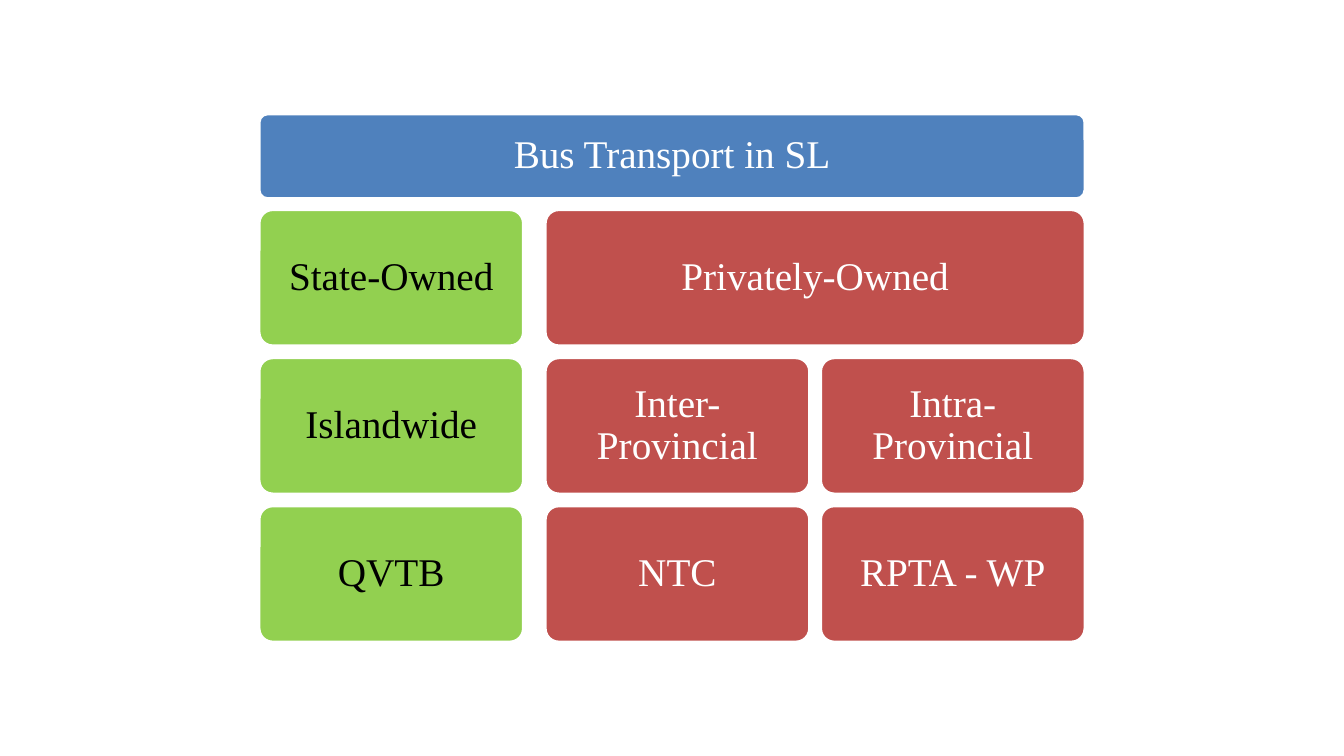
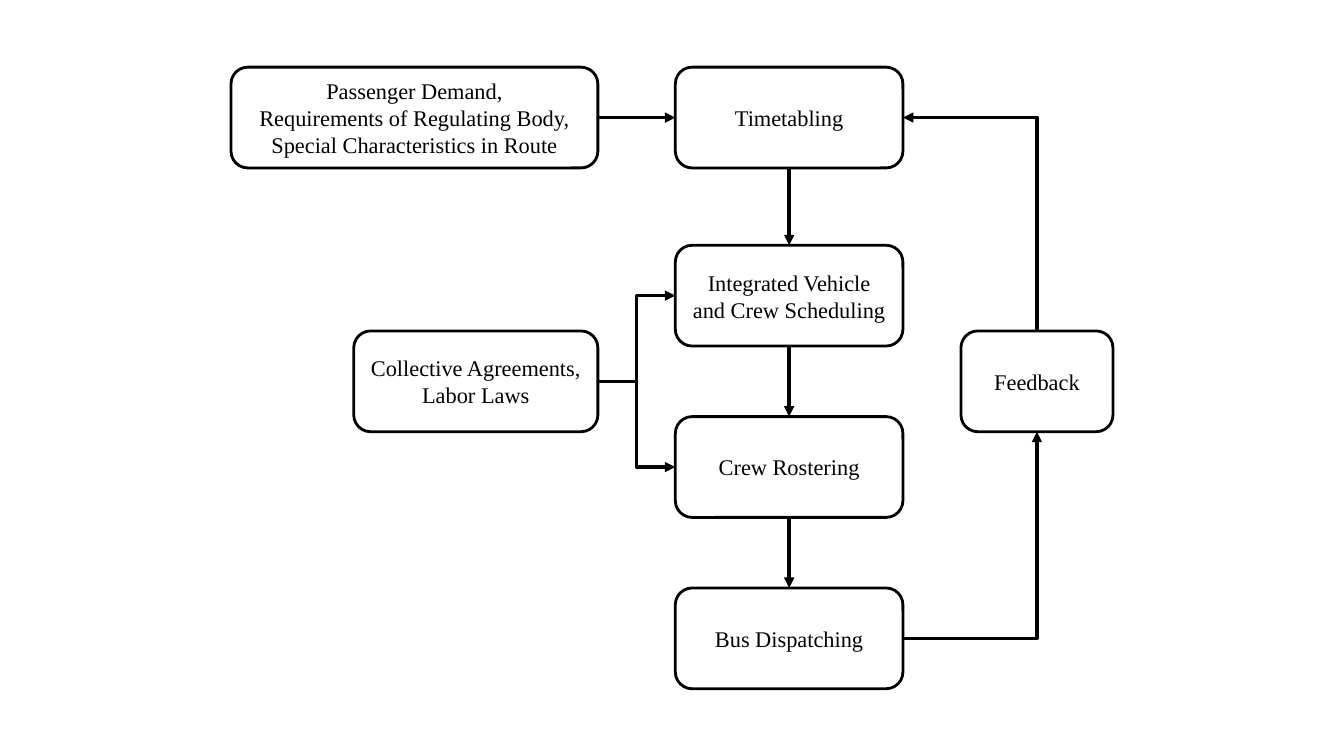
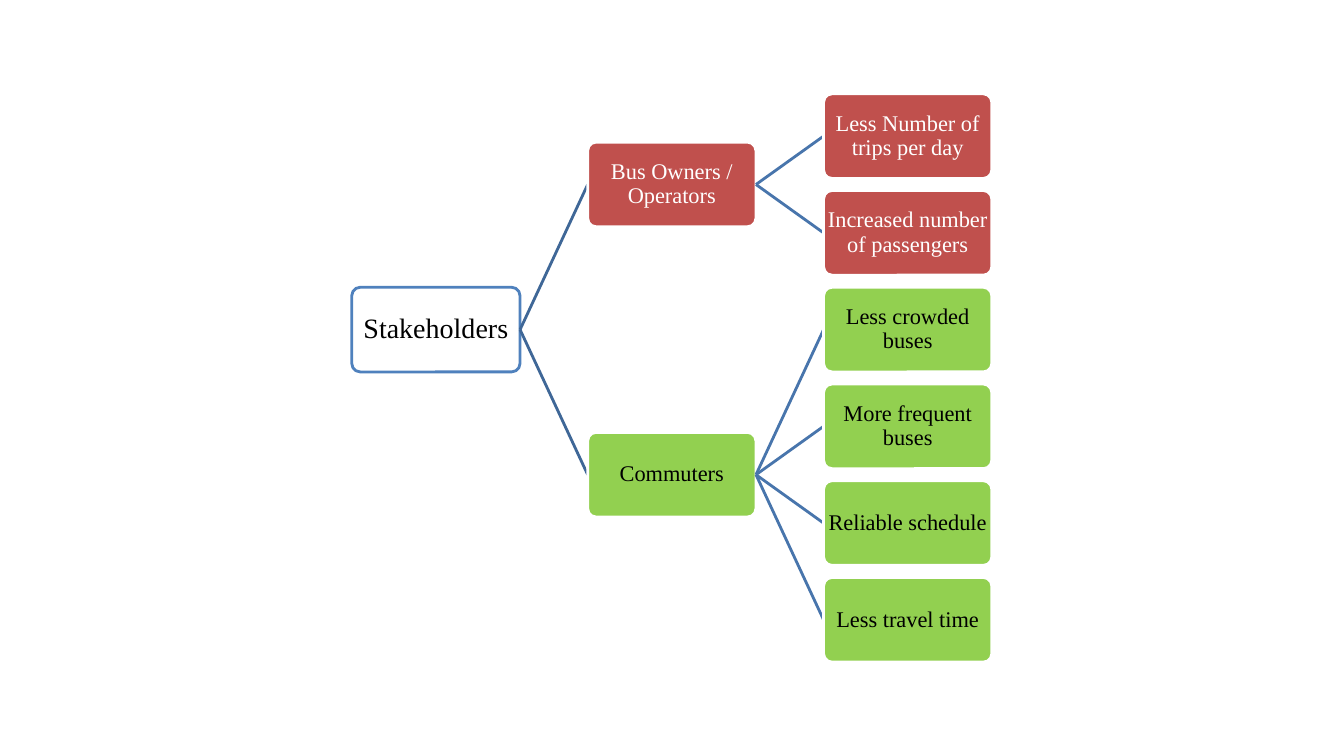
from lxml import etree
from pptx import Presentation
from pptx.dml.color import RGBColor
from pptx.enum.shapes import MSO_CONNECTOR as Connector, MSO_SHAPE as Shape
from pptx.enum.text import MSO_ANCHOR as Anchor, PP_ALIGN as Align
from pptx.oxml.ns import qn
from pptx.util import Pt

# Shared style
FONT = "Times New Roman"
WHITE = RGBColor(0xFF, 0xFF, 0xFF)
BLACK = RGBColor(0x00, 0x00, 0x00)
BLUE = RGBColor(0x4F, 0x81, 0xBD)
GREEN = RGBColor(0x92, 0xD0, 0x50)
RED = RGBColor(0xC0, 0x50, 0x4D)
ROOT_LINK = RGBColor(0x3F, 0x67, 0x97)
LEAF_LINK = RGBColor(0x48, 0x75, 0xAC)
TEXT_COLORS = {BLUE: WHITE, RED: WHITE, GREEN: BLACK, WHITE: BLACK, None: BLACK}


def add_box(slide, text, left, top, width, height, fill, size, insets,
            outline=WHITE, corner=0.1, spacing=0.9):
    box = slide.shapes.add_shape(
        Shape.ROUNDED_RECTANGLE, Pt(left), Pt(top), Pt(width), Pt(height))
    box.adjustments[0] = corner
    box.shadow.inherit = False
    if fill is None:
        box.fill.background()
    else:
        box.fill.solid()
        box.fill.fore_color.rgb = fill
    box.line.color.rgb = outline
    box.line.width = Pt(2)
    frame = box.text_frame
    frame.text = text
    frame.word_wrap = True
    frame.vertical_anchor = Anchor.MIDDLE
    frame.margin_left = frame.margin_right = Pt(insets[0])
    frame.margin_top = frame.margin_bottom = Pt(insets[1])
    for paragraph in frame.paragraphs:
        paragraph.alignment = Align.CENTER
        paragraph.line_spacing = spacing
        paragraph.font.name = FONT
        paragraph.font.size = Pt(size)
        paragraph.font.color.rgb = TEXT_COLORS[fill]
    return box


def add_link(slide, kind, begin, end, color, weight):
    link = slide.shapes.add_connector(
        kind, Pt(begin[0]), Pt(begin[1]), Pt(end[0]), Pt(end[1]))
    link.line.color.rgb = color
    link.line.width = Pt(weight)
    etree.SubElement(link._element.spPr, qn("a:effectLst"))
    return link


presentation = Presentation()
presentation.slide_width = Pt(960)
presentation.slide_height = Pt(540)
blank = presentation.slide_layouts[6]

# Slide 1: bus transport hierarchy
slide = presentation.slides.add_slide(blank)
column_lefts = [185.1, 389.5, 586.2]
cell_width, cell_height = 188.8, 97.2
first_row, row_pitch = 149.8, 105.8
right_edge = column_lefts[2] + cell_width
add_box(slide, "Bus Transport in SL", column_lefts[0], 81.4,
        right_edge - column_lefts[0], 60.5, BLUE, 28, (8.4, 8.4))
ownership_rows = [
    ["State-Owned", "Privately-Owned"],
    ["Islandwide", "Inter-Provincial", "Intra-Provincial"],
    ["QVTB", "NTC", "RPTA - WP"],
]
for row, labels in enumerate(ownership_rows):
    for column, label in enumerate(labels):
        left = column_lefts[column]
        width = right_edge - left if label == "Privately-Owned" else cell_width
        add_box(slide, label, left, first_row + row * row_pitch, width,
                cell_height, RED if column else GREEN, 28, (8.4, 8.4))

# Slide 2: planning flow chart
slide = presentation.slides.add_slide(blank)
steps = {}
for name, text, left, top, width in [
    ("laws", "Collective Agreements,\nLabor Laws", 252.7, 236.4, 174.4),
    ("demand", "Passenger Demand,\nRequirements of Regulating Body,\n"
     "Special Characteristics in Route", 165, 48, 262.1),
    ("timetabling", "Timetabling", 482.4, 48, 162.6),
    ("scheduling", "Integrated Vehicle and Crew Scheduling", 482.4, 175.2, 162.6),
    ("rostering", "Crew Rostering", 482.4, 297.6, 162.6),
    ("dispatching", "Bus Dispatching", 482.4, 420, 162.6),
    ("feedback", "Feedback", 686.4, 236.4, 108.6),
]:
    steps[name] = add_box(slide, text, left, top, width, 72, None, 16, (7.2, 3.6),
                          outline=BLACK, corner=0.16667, spacing=1)

# Arrows between connection sites of the boxes
TOP, LEFT, BOTTOM, RIGHT = range(4)
for begin, begin_site, end, end_site, preset, arrow in [
    ("demand", RIGHT, "timetabling", LEFT, "line", "a:tailEnd"),
    ("timetabling", BOTTOM, "scheduling", TOP, "line", "a:tailEnd"),
    ("scheduling", BOTTOM, "rostering", TOP, "line", "a:tailEnd"),
    ("rostering", BOTTOM, "dispatching", TOP, "line", "a:tailEnd"),
    ("laws", RIGHT, "scheduling", LEFT, "bentConnector3", "a:tailEnd"),
    ("laws", RIGHT, "rostering", LEFT, "bentConnector3", "a:tailEnd"),
    ("dispatching", RIGHT, "feedback", BOTTOM, "bentConnector2", "a:tailEnd"),
    ("timetabling", RIGHT, "feedback", TOP, "bentConnector2", "a:headEnd"),
]:
    kind = Connector.STRAIGHT if preset == "line" else Connector.ELBOW
    link = add_link(slide, kind, (0, 0), (0, 0), BLACK, 2.5)
    link.begin_connect(steps[begin], begin_site)
    link.end_connect(steps[end], end_site)
    properties = link._element.spPr
    properties.find(qn("a:prstGeom")).set("prst", preset)
    etree.SubElement(properties.find(qn("a:ln")), qn(arrow), type="triangle")

# Slide 3: stakeholder tree
slide = presentation.slides.add_slide(blank)
level_lefts = [251.3, 419.8, 588.3]
node_width, node_height = 120.2, 60.5
first_leaf, leaf_pitch = 67, 69.1
branches = [
    ("Bus Owners / Operators", RED,
     ["Less Number of trips per day", "Increased number of passengers"]),
    ("Commuters", GREEN,
     ["Less crowded buses", "More frequent buses", "Reliable schedule",
      "Less travel time"]),
]

# Every parent is centred on its children
leaf_tops, branch_tops = [], []
for _, _, leaves in branches:
    start = first_leaf + sum(map(len, leaf_tops)) * leaf_pitch
    leaf_tops.append([start + i * leaf_pitch for i in range(len(leaves))])
    branch_tops.append(sum(leaf_tops[-1]) / len(leaves))
root_top = sum(branch_tops) / len(branch_tops)

nodes = [(0, "Stakeholders", WHITE, root_top, None)]
for (branch, fill, leaves), branch_top, tops in zip(branches, branch_tops, leaf_tops):
    nodes.append((1, branch, fill, branch_top, root_top))
    nodes += [(2, leaf, fill, top, branch_top) for leaf, top in zip(leaves, tops)]

for level, text, fill, top, parent_top in nodes:
    left = level_lefts[level]
    if level:
        add_link(slide, Connector.STRAIGHT,
                 (level_lefts[level - 1] + node_width, parent_top + node_height / 2),
                 (left, top + node_height / 2),
                 ROOT_LINK if level == 1 else LEAF_LINK, 2)
    add_box(slide, text, left, top, node_width, node_height, fill,
            16 if level else 20, (0.8, 0.8), outline=WHITE if level else BLUE)

presentation.save("out.pptx")
